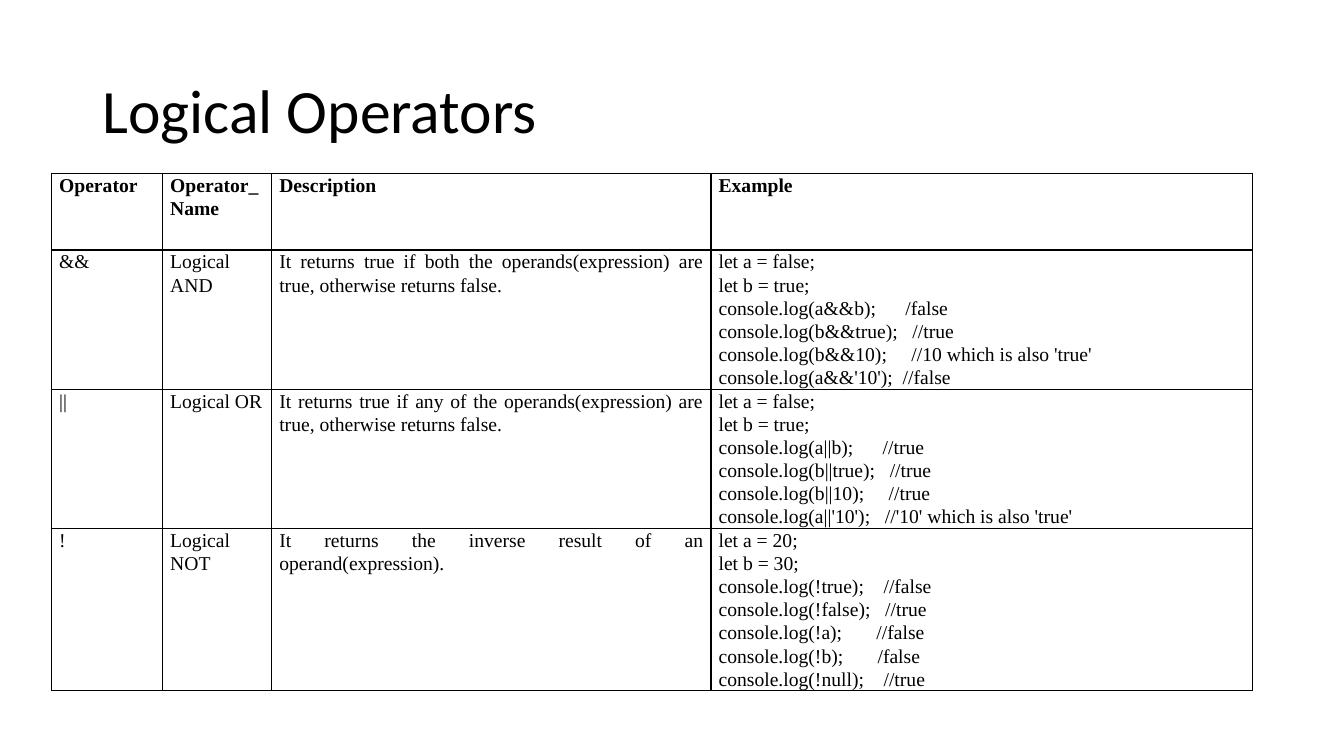
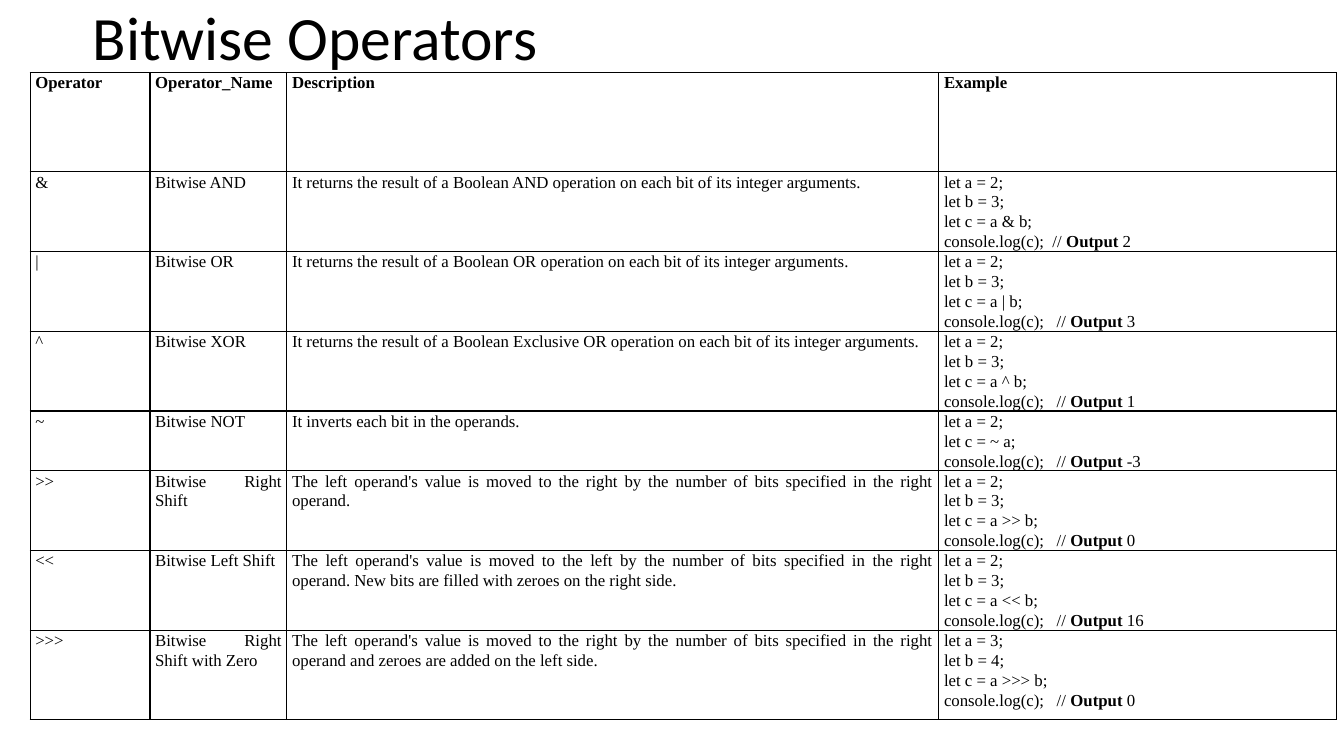
from dataclasses import dataclass
from typing import Optional

from lxml import etree
from pptx import Presentation
from pptx.dml.color import RGBColor
from pptx.enum.text import MSO_ANCHOR, MSO_AUTO_SIZE, PP_ALIGN
from pptx.oxml.ns import qn
from pptx.util import Cm, Pt

# Shared style
BLACK = RGBColor(0x00, 0x00, 0x00)
TITLE_FONT = "Calibri"
TABLE_FONT = "Times New Roman"
TITLE_SIZE = 44
BORDER_WIDTH = 1
LEFT = PP_ALIGN.LEFT
JUSTIFY = PP_ALIGN.JUSTIFY
MIDDLE = MSO_ANCHOR.MIDDLE
NO_AUTOFIT = MSO_AUTO_SIZE.NONE
TITLE_ONLY = 5
HEADER = ("Operator", "Operator_Name", "Description", "Example")
KEYWORD = "Output"


@dataclass(frozen=True)
class Operator:
    symbol: str
    name: str
    description: str
    example: str

    def cells(self) -> tuple[str, ...]:
        return self.symbol, self.name, self.description, self.example


@dataclass(frozen=True)
class OperatorSlide:
    """Lengths are in centimetres, text sizes in points."""
    title: str
    title_box: tuple[float, float, float, float]
    table_corner: tuple[float, float]
    column_widths: tuple[float, ...]
    row_heights: tuple[float, ...]
    side_margin: float
    text_size: int
    operators: tuple[Operator, ...]


def bitwise_example(expression: str, result: str, a: int = 2,
                    b: Optional[int] = 3, gap: str = "   ") -> str:
    lines = [f"let a = {a};"]
    if b is not None:
        lines.append(f"let b = {b};")
    lines.append(f"let c = {expression};")
    lines.append(f"console.log(c);{gap}// {KEYWORD} {result}")
    return "\n".join(lines)


# Content
LOGICAL = OperatorSlide(
    title="Logical Operators",
    title_box=(2.33, 1.01, 29.21, 3.68),
    table_corner=(1.3, 4.37),
    column_widths=(2.8, 2.75, 11.07, 13.64),
    row_heights=(1.93, 3.38, 3.38, 3.38),
    side_margin=0.19,
    text_size=14,
    operators=(
        Operator("&&", "Logical AND",
                 "It returns true if both the operands(expression) are true, "
                 "otherwise returns false.",
                 "let a = false;\n"
                 "let b = true;\n"
                 "console.log(a&&b);      /false\n"
                 "console.log(b&&true);   //true\n"
                 "console.log(b&&10);     //10 which is also 'true'\n"
                 "console.log(a&&'10');  //false"),
        Operator("||", "Logical OR",
                 "It returns true if any of the operands(expression) are true, "
                 "otherwise returns false.",
                 "let a = false;\n"
                 "let b = true;\n"
                 "console.log(a||b);      //true\n"
                 "console.log(b||true);   //true\n"
                 "console.log(b||10);     //true\n"
                 "console.log(a||'10');   //'10' which is also 'true'"),
        Operator("!", "Logical NOT",
                 "It returns the inverse result of an operand(expression).",
                 "let a = 20;\n"
                 "let b = 30;\n"
                 "console.log(!true);    //false\n"
                 "console.log(!false);   //true\n"
                 "console.log(!a);       //false\n"
                 "console.log(!b);       /false\n"
                 "console.log(!null);    //true"),
    ),
)

BOOLEAN_RESULT = ("It returns the result of a Boolean {} operation on each bit "
                  "of its integer arguments.")
SHIFT_RESULT = ("The left operand's value is moved to the {} by the number of "
                "bits specified in the right operand")

BITWISE = OperatorSlide(
    title="Bitwise Operators",
    title_box=(2.08, 0, 29.21, 2.06),
    table_corner=(0.76, 1.83),
    column_widths=(3.02, 3.45, 16.43, 10.03),
    row_heights=(2.5, 1.27, 1.27, 1.27, 1.27, 1.6, 1.9, 2.25),
    side_margin=0.13,
    text_size=12,
    operators=(
        Operator("&", "Bitwise AND", BOOLEAN_RESULT.format("AND"),
                 bitwise_example("a & b", "2", gap="  ")),
        Operator("|", "Bitwise OR", BOOLEAN_RESULT.format("OR"),
                 bitwise_example("a | b", "3")),
        Operator("^", "Bitwise XOR", BOOLEAN_RESULT.format("Exclusive OR"),
                 bitwise_example("a ^ b", "1")),
        Operator("~", "Bitwise NOT", "It inverts each bit in the operands.",
                 bitwise_example("~ a", "-3", b=None)),
        Operator(">>", "Bitwise Right Shift",
                 SHIFT_RESULT.format("right") + ".",
                 bitwise_example("a >> b", "0")),
        Operator("<<", "Bitwise Left Shift",
                 SHIFT_RESULT.format("left")
                 + ". New bits are filled with zeroes on the right side.",
                 bitwise_example("a << b", "16")),
        Operator(">>>", "Bitwise Right Shift with Zero",
                 SHIFT_RESULT.format("right")
                 + " and zeroes are added on the left side.",
                 bitwise_example("a >>> b", "0", a=3, b=4)),
    ),
)


def add_run(paragraph, text: str, font: str, size: int, bold: bool = False) -> None:
    run = paragraph.add_run()
    run.text = text
    run.font.name = font
    run.font.size = Pt(size)
    run.font.bold = bold
    run.font.color.rgb = BLACK


def add_title(slide, layout: OperatorSlide) -> None:
    title = slide.shapes.title
    title.left, title.top, title.width, title.height = map(Cm, layout.title_box)
    frame = title.text_frame
    frame.word_wrap = True
    frame.auto_size = NO_AUTOFIT
    frame.vertical_anchor = MIDDLE
    paragraph = frame.paragraphs[0]
    paragraph.alignment = LEFT
    paragraph.line_spacing = 0.9
    add_run(paragraph, layout.title, TITLE_FONT, TITLE_SIZE)


def set_borders(cell) -> None:
    # Border lines must come before the fill in the cell properties
    properties = cell._tc.get_or_add_tcPr()
    for position, side in enumerate(("a:lnL", "a:lnR", "a:lnT", "a:lnB")):
        line = etree.Element(qn(side), w=str(Pt(BORDER_WIDTH)))
        fill = etree.SubElement(line, qn("a:solidFill"))
        etree.SubElement(fill, qn("a:srgbClr"), val=str(BLACK))
        properties.insert(position, line)


def fill_cell(cell, text: str, layout: OperatorSlide, bold: bool) -> None:
    cell.fill.background()
    cell.margin_left = cell.margin_right = Cm(layout.side_margin)
    cell.margin_top = cell.margin_bottom = 0
    set_borders(cell)
    frame = cell.text_frame
    for index, line in enumerate(text.split("\n")):
        paragraph = frame.add_paragraph() if index else frame.paragraphs[0]
        paragraph.alignment = JUSTIFY
        paragraph.line_spacing = 1.07
        for part in filter(None, line.partition(KEYWORD)):
            add_run(paragraph, part, TABLE_FONT, layout.text_size,
                    bold or part == KEYWORD)


def add_operator_table(slide, layout: OperatorSlide) -> None:
    rows = [HEADER] + [operator.cells() for operator in layout.operators]
    left, top = map(Cm, layout.table_corner)
    table = slide.shapes.add_table(
        len(rows), len(HEADER), left, top,
        Cm(sum(layout.column_widths)), Cm(sum(layout.row_heights))).table
    table.first_row = table.horz_banding = False
    for column, width in zip(table.columns, layout.column_widths):
        column.width = Cm(width)
    for row, height in zip(table.rows, layout.row_heights):
        row.height = Cm(height)
    for row_index, texts in enumerate(rows):
        for column_index, text in enumerate(texts):
            fill_cell(table.cell(row_index, column_index), text, layout,
                      bold=row_index == 0)


def main() -> None:
    presentation = Presentation()
    presentation.slide_width = Cm(33.87)
    presentation.slide_height = Cm(19.05)
    for layout in (LOGICAL, BITWISE):
        slide = presentation.slides.add_slide(presentation.slide_layouts[TITLE_ONLY])
        add_title(slide, layout)
        add_operator_table(slide, layout)
    presentation.save("out.pptx")


if __name__ == "__main__":
    main()
